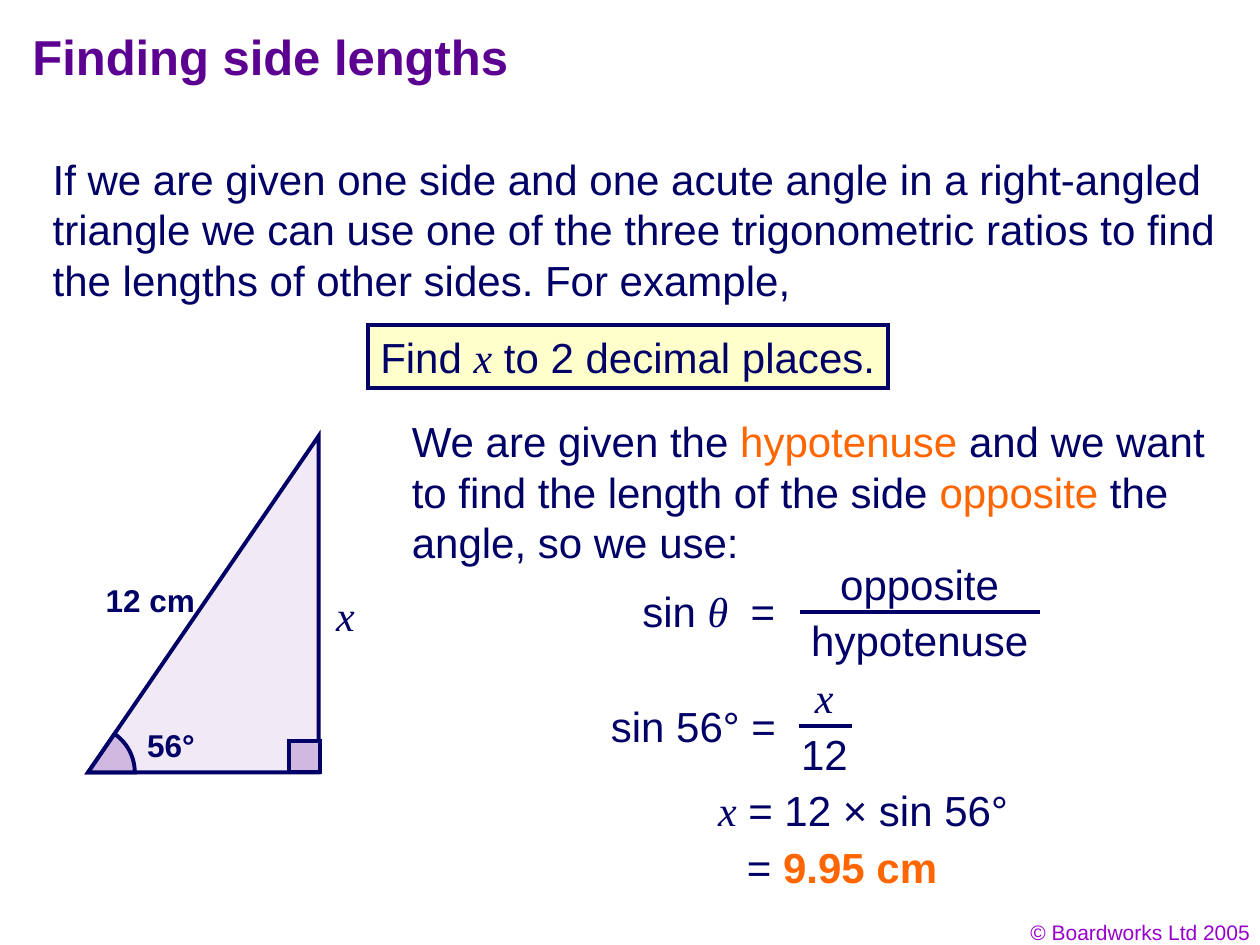
from math import atan2, cos, sin

from lxml import etree
from pptx import Presentation
from pptx.dml.color import RGBColor
from pptx.enum.shapes import MSO_CONNECTOR, MSO_SHAPE
from pptx.enum.text import MSO_ANCHOR, PP_ALIGN
from pptx.oxml.ns import qn
from pptx.util import Inches, Pt

LEFT, RIGHT = PP_ALIGN.LEFT, PP_ALIGN.RIGHT
TOP = MSO_ANCHOR.TOP
RECT, TRIANGLE = MSO_SHAPE.RECTANGLE, MSO_SHAPE.RIGHT_TRIANGLE
STRAIGHT = MSO_CONNECTOR.STRAIGHT

COLORS = {
    "title": "5B0091",
    "text": "010066",
    "line": "000066",
    "accent": "FF6600",
    "footer": "9900CC",
    "note": "FFFFCC",
    "triangle": "F1EAF6",
    "angle": "D0B8E0",
}
MATH = {"font": "Times New Roman", "italic": True}
ACCENT = {"color": "accent"}


def rgb(name):
    """Return the named colour."""
    return RGBColor.from_string(COLORS[name])


def write(sp, runs, size=24, color="text", bold=False, align=LEFT, wrap=False):
    """Fill a shape with one paragraph of (text, style) runs."""
    tf = sp.text_frame
    tf.word_wrap = wrap
    tf.vertical_anchor = TOP
    p = tf.paragraphs[0]
    p.alignment = align
    p.line_spacing = Pt(size * 1.2)
    p.font.size = Pt(size)
    p.font.bold = bold
    for text, style in runs:
        r = p.add_run()
        r.text = text
        r.font.name = style.get("font", "Arial")
        r.font.italic = style.get("italic", False)
        r.font.bold = style.get("bold", bold)
        r.font.color.rgb = rgb(style.get("color", color))


def add_text(s, box, *runs, **options):
    """Add a text box; plain strings become unstyled runs."""
    sp = s.shapes.add_textbox(*map(Inches, box))
    write(sp, [(r, {}) if isinstance(r, str) else r for r in runs], **options)


def paint(sp, fill):
    """Give a shape its fill and the dark outline with sharp corners."""
    sp.shadow.inherit = False
    sp.fill.solid()
    sp.fill.fore_color.rgb = rgb(fill)
    sp.line.color.rgb = rgb("line")
    sp.line.width = Pt(2.25)
    etree.SubElement(sp._element.spPr.find(qn("a:ln")), qn("a:miter"), lim="800000")


def add_figure(s, kind, box, fill):
    """Add an outlined preset shape."""
    sp = s.shapes.add_shape(kind, *map(Inches, box))
    paint(sp, fill)
    return sp


def add_sector(s, x, y, radius, angle, steps=24):
    """Add the angle marker as a sector that starts on the base line."""
    arc = [
        (Inches(x + radius * cos(angle * i / steps)), Inches(y - radius * sin(angle * i / steps)))
        for i in range(steps + 1)
    ]
    builder = s.shapes.build_freeform(Inches(x), Inches(y))
    builder.add_line_segments(arc, close=True)
    paint(builder.convert_to_shape(), "angle")


def add_bar(s, x1, x2, y):
    """Add a horizontal fraction bar."""
    line = s.shapes.add_connector(STRAIGHT, Inches(x1), Inches(y), Inches(x2), Inches(y))
    line.line.color.rgb = rgb("line")
    line.line.width = Pt(2.25)
    etree.SubElement(line._element.spPr, qn("a:effectLst"))


def add_fraction(s, bar, top, bottom):
    """Add a bar (x1, x2, y) with (left, width, run) above and below it."""
    y = bar[2]
    for (left, width, run), offset in ((top, -0.48), (bottom, -0.03)):
        add_text(s, (left, y + offset, width, 0.5), run, color="line")
    add_bar(s, *bar)


def add_triangle(s):
    """Draw the labelled right-angled triangle."""
    left, top, width, height = 0.7, 3.46, 1.83, 2.67
    base = top + height
    sp = add_figure(s, TRIANGLE, (left, top, width, height), "triangle")
    sp._element.spPr.get_or_add_xfrm().set("flipH", "1")
    add_text(s, (1.07, 5.71, 0.6, 0.4), "56°", size=18, bold=True)
    add_sector(s, left, base, 0.37, atan2(height, width))
    add_figure(s, RECT, (2.29, base - 0.25, 0.25, 0.25), "angle")
    add_text(s, (2.57, 4.63, 0.37, 0.5), ("x", MATH))
    add_text(s, (0.74, 4.56, 0.95, 0.4), "12 cm", size=18, bold=True)


def add_working(s):
    """Set out the steps of the solution."""
    add_text(s, (5, 4.6, 1.3, 0.5), "sin ", ("θ ", MATH), " =", color="line")
    add_fraction(s, (6.35, 8.25, 4.86), (6.57, 1.5, "opposite"), (6.34, 2, "hypotenuse"))
    add_text(s, (4.75, 5.51, 1.55, 0.5), "sin 56° =", color="line")
    add_fraction(s, (6.34, 6.76, 5.76), (6.37, 0.37, ("x", MATH)), (6.26, 0.6, "12"))
    add_text(s, (5.6, 6.18, 2.55, 0.5), ("x", MATH), " = 12 × sin 56°")
    answer = (" 9.95 cm", {"color": "accent", "bold": True})
    add_text(s, (5.83, 6.63, 1.75, 0.5), "=", answer, color="line")


def main():
    """Build and save the slide."""
    prs = Presentation()
    prs.slide_width, prs.slide_height = Inches(10), Inches(7.5)
    s = prs.slides.add_slide(prs.slide_layouts[6])
    add_text(s, (7.69, 7.25, 2.33, 0.3), "© Boardworks Ltd 2005",
             size=12, color="footer", align=RIGHT, wrap=True)
    add_text(s, (0.16, 0.16, 8.5, 0.67), "Finding side lengths",
             size=28, color="title", bold=True, wrap=True)
    add_text(s, (0.32, 1.17, 9.43, 1.3),
             "If we are given one side and one acute angle in a right-angled triangle "
             "we can use one of the three trigonometric ratios to find the lengths of "
             "other sides. For example,", wrap=True)
    add_triangle(s)
    task = add_figure(s, RECT, (2.92, 2.58, 4.13, 0.5), "note")
    write(task, [("Find ", {}), ("x", MATH), (" to 2 decimal places.", {})])
    add_text(s, (3.17, 3.25, 6.52, 1.3), "We are given the ", ("hypotenuse", ACCENT),
             " and we want to find the length of the side ", ("opposite", ACCENT),
             " the angle, so we use:", wrap=True)
    add_working(s)
    prs.save("out.pptx")


if __name__ == "__main__":
    main()
